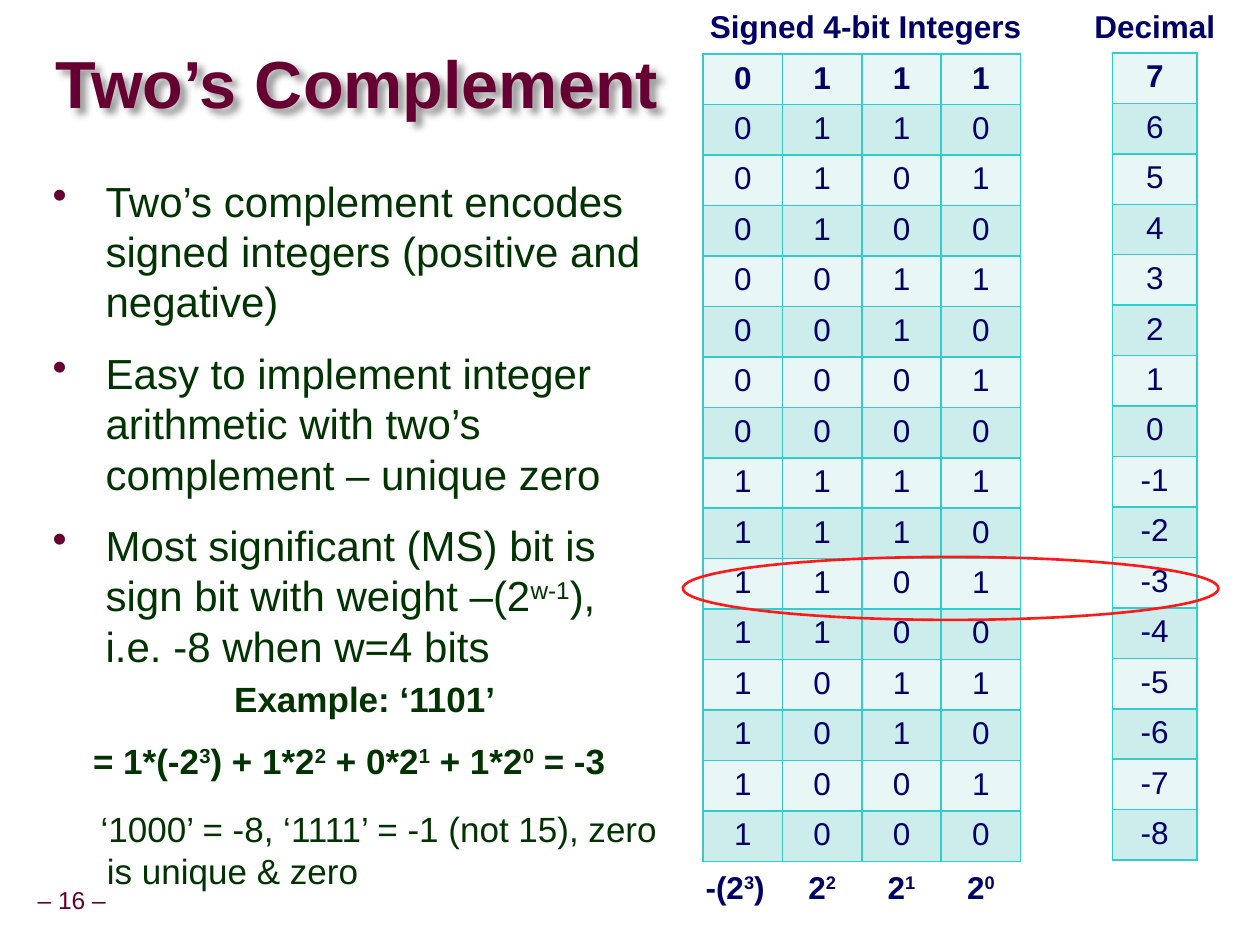
from lxml import etree
from pptx import Presentation
from pptx.dml.color import RGBColor
from pptx.enum.shapes import MSO_SHAPE as SHAPE
from pptx.enum.text import MSO_ANCHOR as ANCHOR, PP_ALIGN as ALIGN
from pptx.oxml import parse_xml
from pptx.oxml.ns import nsdecls, qn
from pptx.util import Inches, Pt

MAROON, GREEN, NAVY = "660033", "003300", "000066"
BANDS, BORDER, RED = ("E8F6F6", "CDECEC"), "33CCCC", "FF1A1A"

# Text between carets is superscript.
TITLE = "Two’s Complement"
BULLETS = [
    "Two’s complement encodes signed integers (positive and negative)",
    "Easy to implement integer arithmetic with two’s complement – unique zero",
    "Most significant (MS) bit is sign bit with weight –(2^w-1^), i.e. -8 when w=4 bits",
]
# text, bold, left margin, first-line indent, space before
EXAMPLE = [
    ("Example: ‘1101’", True, 1.43, 0, 0),
    ("= 1*(-2^3^) + 1*2^2^ + 0*2^1^ + 1*2^0^ = -3", True, 0.31, 0, 11),
    ("‘1000’ = -8, ‘1111’ = -1 (not 15), zero is unique & zero", False, 0.42, -0.05, 15),
]
DECIMALS = range(7, -9, -1)
BIT_ROWS = [format(d % 16, "04b") for d in DECIMALS]
DECIMAL_ROWS = [[str(d)] for d in DECIMALS]
WEIGHTS = "-(2^3^)\t2^2^\t2^1^\t2^0^"
BIT_LEFT, BIT_WIDTH, ROW_HEIGHT = 5.58, 0.63, 0.4
WEIGHT_LEFT = 5.6

HEADING = {"size": 18, "color": NAVY, "bold": True}


def rgb(value):
    return RGBColor.from_string(value)


def write(p, text, size, color, bold=False, **layout):
    """Fill a paragraph, raising the parts between carets."""
    for name, value in layout.items():
        setattr(p, name, value)
    for i, part in enumerate(text.split("^")):
        r = p.add_run()
        r.text = part
        for name, value in {"name": "Arial", "size": Pt(size), "bold": bold}.items():
            setattr(r.font, name, value)
        r.font.color.rgb = rgb(color)
        if i % 2:
            r.font._element.set("baseline", "30000")


def set_indent(p, left, first):
    p_pr = p._p.get_or_add_pPr()
    p_pr.set("marL", str(Inches(left)))
    p_pr.set("indent", str(Inches(first)))
    return p_pr


def add_box(s, left, top, width, height, wrap=True):
    tf = s.shapes.add_textbox(*map(Inches, (left, top, width, height))).text_frame
    tf.word_wrap = wrap
    return tf


def add_paragraph(tf, i):
    return tf.paragraphs[0] if i == 0 else tf.add_paragraph()


def add_number_table(s, rows, left, top, col_width, row_height):
    cols = len(rows[0])
    frame = s.shapes.add_table(len(rows), cols, Inches(left), Inches(top),
                               Inches(col_width * cols), Inches(row_height * len(rows)))
    table = frame.table
    for col in table.columns:
        col.width = Inches(col_width)
    for i, values in enumerate(rows):
        table.rows[i].height = Inches(row_height)
        for j, value in enumerate(values):
            cell = table.cell(i, j)
            write(cell.text_frame.paragraphs[0], value, 18, NAVY, i == 0,
                  alignment=ALIGN.CENTER)
            tc_pr = cell._tc.get_or_add_tcPr()
            for side in ("lnL", "lnR", "lnT", "lnB"):
                tc_pr.append(parse_xml(
                    f'<a:{side} {nsdecls("a")} w="12700"><a:solidFill>'
                    f'<a:srgbClr val="{BORDER}"/></a:solidFill></a:{side}>'))
            cell.fill.solid()
            cell.fill.fore_color.rgb = rgb(BANDS[i % 2])


def add_title(s):
    title = s.shapes.title
    title.left, title.top, title.width, title.height = map(Inches, (0.44, 0.27, 9.53, 0.85))
    tf = title.text_frame
    for name, value in {"margin_left": 0, "margin_top": 0, "margin_right": 0,
                        "margin_bottom": 0, "vertical_anchor": ANCHOR.MIDDLE}.items():
        setattr(tf, name, value)
    write(tf.paragraphs[0], TITLE, 38, MAROON, True, alignment=ALIGN.LEFT, line_spacing=0.87)
    title._element.spPr.append(parse_xml(
        f'<a:effectLst {nsdecls("a")}><a:outerShdw blurRad="50800" dist="50800" dir="2700000">'
        '<a:srgbClr val="000000"><a:alpha val="40000"/></a:srgbClr></a:outerShdw></a:effectLst>'))


def add_bullets(s):
    tf = add_box(s, 0.32, 1.34, 5.02, 4.16)
    for i, text in enumerate(BULLETS):
        p = add_paragraph(tf, i)
        write(p, text, 24, GREEN, line_spacing=1.0, space_before=Pt(12 if i else 0))
        p_pr = set_indent(p, 0.42, -0.42)
        color = etree.SubElement(p_pr, qn("a:buClr"))
        etree.SubElement(color, qn("a:srgbClr"), val=MAROON)
        etree.SubElement(p_pr, qn("a:buChar"), char="•")


def add_example(s):
    tf = add_box(s, 0.33, 5.28, 5.02, 1.88)
    tf.margin_top = Inches(0.1)
    for i, (text, bold, left, first, before) in enumerate(EXAMPLE):
        p = add_paragraph(tf, i)
        write(p, text, 20, GREEN, bold, line_spacing=1.0, space_before=Pt(before))
        set_indent(p, left, first)


def add_weights(s):
    """Put the weight of each bit under its column, using centred tabs."""
    tf = add_box(s, 5.08, 6.87, 3.17, 0.38)
    tf.margin_left = Inches(WEIGHT_LEFT - 5.08)
    p = tf.paragraphs[0]
    write(p, WEIGHTS, **HEADING, line_spacing=0.9)
    tabs = etree.SubElement(p._p.get_or_add_pPr(), qn("a:tabLst"))
    for col in range(1, 4):
        center = BIT_LEFT + (col + 0.5) * BIT_WIDTH - WEIGHT_LEFT
        etree.SubElement(tabs, qn("a:tab"), pos=str(Inches(center)), algn="ctr")


def main():
    prs = Presentation()
    prs.slide_width, prs.slide_height = Inches(10), Inches(7.5)
    s = prs.slides.add_slide(prs.slide_layouts[5])

    tf = add_box(s, 0.24, 7, 0.66, 0.31, wrap=False)
    tf.margin_left = tf.margin_right = Inches(0.05)
    tf.vertical_anchor = ANCHOR.MIDDLE
    write(tf.paragraphs[0], "– 16 –", 14, MAROON, alignment=ALIGN.CENTER, line_spacing=0.9)

    add_title(s)
    add_bullets(s)
    add_number_table(s, BIT_ROWS, BIT_LEFT, 0.43, BIT_WIDTH, ROW_HEIGHT)
    add_number_table(s, DECIMAL_ROWS, 8.83, 0.42, 0.67, ROW_HEIGHT)
    for text, left, width, wrap in [("Signed 4-bit Integers", 4.83, 4.08, True),
                                    ("Decimal", 8.58, 1.17, False)]:
        tf = add_box(s, left, 0.04, width, 0.38, wrap)
        write(tf.paragraphs[0], text, **HEADING, alignment=ALIGN.CENTER, line_spacing=0.9)
    add_weights(s)
    add_example(s)

    ring = s.shapes.add_shape(SHAPE.OVAL, *map(Inches, (5.42, 4.42, 4.25, 0.5)))
    ring.shadow.inherit = False
    ring.fill.background()
    ring.line.color.rgb = rgb(RED)
    ring.line.width = Pt(1.5)

    prs.save("out.pptx")


if __name__ == "__main__":
    main()
